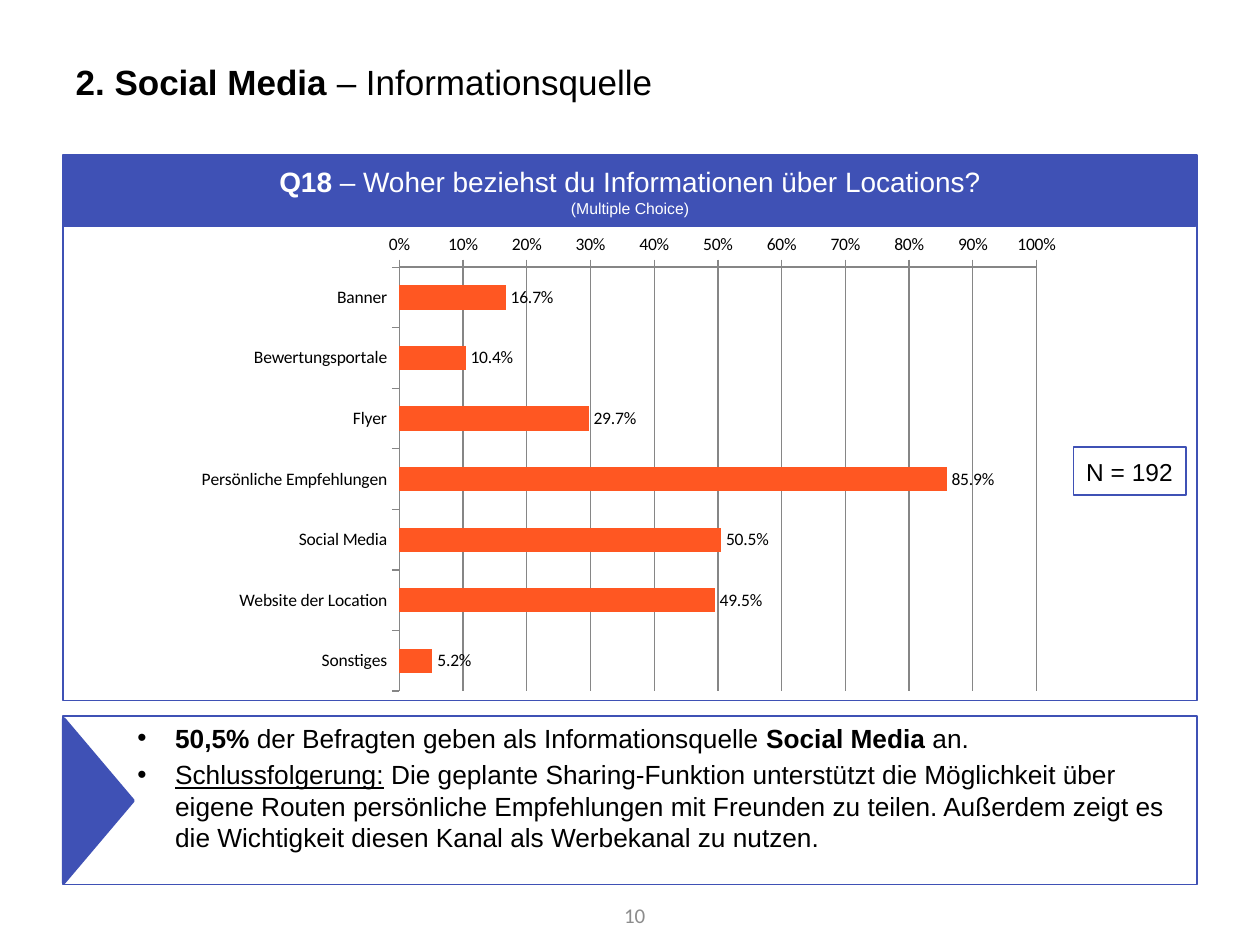
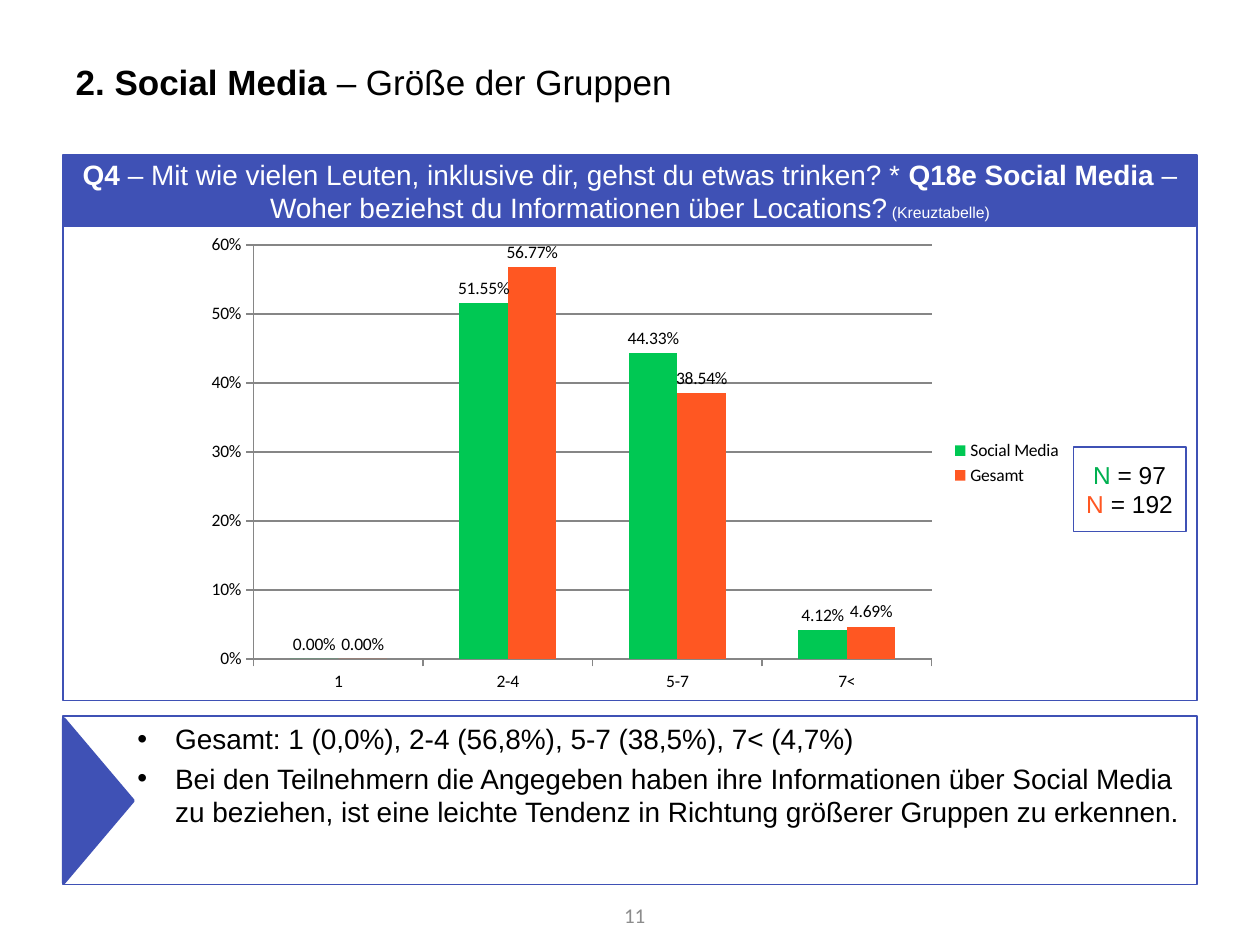
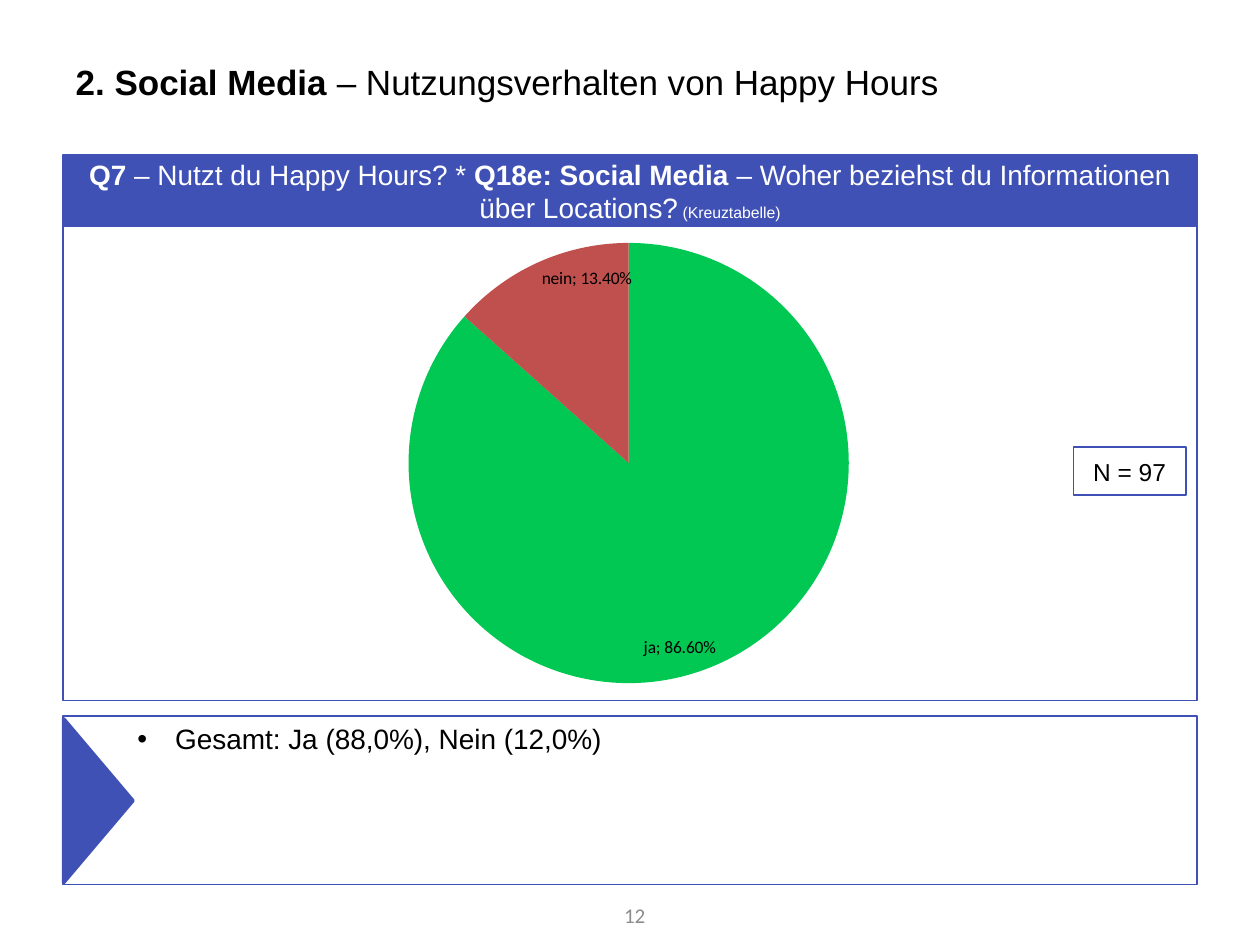
from lxml import etree
from pptx import Presentation
from pptx.chart.data import CategoryChartData
from pptx.dml.color import RGBColor
from pptx.enum.chart import (XL_CHART_TYPE, XL_LABEL_POSITION, XL_LEGEND_POSITION,
                             XL_TICK_MARK)
from pptx.enum.shapes import MSO_SHAPE
from pptx.enum.text import MSO_ANCHOR, MSO_AUTO_SIZE, PP_ALIGN
from pptx.oxml.ns import qn
from pptx.util import Inches, Pt

INDIGO = RGBColor(0x3F, 0x51, 0xB5)
ORANGE = RGBColor(0xFF, 0x57, 0x22)
GREEN = RGBColor(0x00, 0xC8, 0x53)
DARK_GREEN = RGBColor(0x00, 0xB0, 0x50)
RED = RGBColor(0xC0, 0x50, 0x4D)
GRAY = RGBColor(0x8C, 0x8C, 0x8C)
GRID = RGBColor(0x86, 0x86, 0x86)
BLACK = RGBColor(0, 0, 0)
WHITE = RGBColor(0xFF, 0xFF, 0xFF)

LEFT, WIDTH = 0.5, 9
NOTE_TOP, NOTE_HEIGHT = 5.68, 1.34
CHART_TOP, CHART_HEIGHT = 1.79, 3.77


def place(shape, x, y, w, h):
    """Set position and size in inches."""
    shape.left, shape.top = Inches(x), Inches(y)
    shape.width, shape.height = Inches(w), Inches(h)


def add_runs(p, runs, size, color=BLACK, font="Arial"):
    """Add runs: plain strings or (text, options) pairs."""
    for run in runs:
        text, opts = (run, {}) if isinstance(run, str) else run
        r = p.add_run()
        r.text = text
        r.font.name = font
        r.font.size = Pt(opts.get("size", size))
        r.font.bold = opts.get("bold", False)
        r.font.underline = opts.get("underline", False)
        r.font.color.rgb = opts.get("color", color)


def bold(text):
    """Return a bold run."""
    return text, {"bold": True}


def small(text):
    """Return a run in the small size of the band."""
    return text, {"size": 9}


def add_box(s, kind, box, line_width, fill=None):
    """Add an indigo outlined shape, filled or hollow."""
    sp = s.shapes.add_shape(kind, *[Inches(v) for v in box])
    sp.shadow.inherit = False
    sp.line.color.rgb = INDIGO
    sp.line.width = Pt(line_width)
    if fill is None:
        sp.fill.background()
    else:
        sp.fill.solid()
        sp.fill.fore_color.rgb = fill
    return sp


def fill_centered(sp, lines, size, color=BLACK, wrap=True):
    """Write centred lines into a shape."""
    tf = sp.text_frame
    tf.word_wrap = wrap
    tf.vertical_anchor = MSO_ANCHOR.MIDDLE
    for i, runs in enumerate(lines):
        p = tf.add_paragraph() if i else tf.paragraphs[0]
        p.alignment = PP_ALIGN.CENTER
        add_runs(p, runs, size, color)


def add_title(s, topic):
    """Fill the title with the chapter and the topic."""
    title = s.shapes.title
    place(title, LEFT, 0.3, WIDTH, 0.69)
    tf = title.text_frame
    tf.auto_size = MSO_AUTO_SIZE.NONE
    tf.vertical_anchor = MSO_ANCHOR.MIDDLE
    p = tf.paragraphs[0]
    p.alignment = PP_ALIGN.LEFT
    add_runs(p, [bold("2. Social Media "), "– " + topic], 20)


def add_findings(s, bullets, size):
    """Fill the outlined body with bullets and mark it with a triangle."""
    body = s.placeholders[1]
    place(body, LEFT, NOTE_TOP, WIDTH, NOTE_HEIGHT)
    body.line.color.rgb = INDIGO
    body.line.width = Pt(1)
    tf = body.text_frame
    tf.auto_size = MSO_AUTO_SIZE.NONE
    for i, runs in enumerate(bullets):
        p = tf.add_paragraph() if i else tf.paragraphs[0]
        pPr = p._p.get_or_add_pPr()
        pPr.set("marL", str(Inches(0.79)))
        pPr.set("indent", str(Inches(-0.3)))
        add_runs(p, runs, size)
    marker = add_box(s, MSO_SHAPE.ISOSCELES_TRIANGLE, (0.13, 6.08, 1.3, 0.55), 2, INDIGO)
    marker.rotation = 90


def add_question(s, lines):
    """Add the chart frame and the question band on top of it."""
    add_box(s, MSO_SHAPE.RECTANGLE, (LEFT, 1.23, WIDTH, 4.33), 1)
    band = add_box(s, MSO_SHAPE.RECTANGLE, (0.51, 1.24, 8.98, 0.55), 2, INDIGO)
    fill_centered(band, lines, 16, WHITE)


def add_sample_size(s, lines, height=0.38):
    """Add the box with the number of answers."""
    box = add_box(s, MSO_SHAPE.RECTANGLE, (8.52, 3.55, 0.89, height), 1)
    fill_centered(box, lines, 14, wrap=False)


def add_page_number(s, number):
    """Add the page number at the bottom."""
    tb = s.shapes.add_textbox(Inches(4.59), Inches(7.06), Inches(0.63), Inches(0.4))
    tf = tb.text_frame
    tf.word_wrap = True
    tf.vertical_anchor = MSO_ANCHOR.MIDDLE
    p = tf.paragraphs[0]
    p.alignment = PP_ALIGN.RIGHT
    add_runs(p, [str(number)], 12, GRAY, "Calibri")


def paint(part, color):
    """Fill a series or a point."""
    part.format.fill.solid()
    part.format.fill.fore_color.rgb = color


def add_chart(s, kind, x, w, cats, series, label_format, position):
    """Add a chart with value labels and return it."""
    data = CategoryChartData()
    data.categories = cats
    for name, values in series:
        data.add_series(name, values)
    chart = s.shapes.add_chart(kind, Inches(x), Inches(CHART_TOP), Inches(w),
                               Inches(CHART_HEIGHT), data).chart
    chart.has_title = False
    chart.has_legend = False
    chart.font.name = "Calibri"
    chart.font.size = Pt(10)
    chart.font.color.rgb = BLACK
    for ser in chart.plots[0].series:
        labels = ser.data_labels
        labels.show_value = True
        labels.number_format = label_format
        labels.number_format_is_linked = False
        labels.position = position
    return chart


def style_bars(chart, colors, maximum):
    """Format the axes, the grid and the bars."""
    plot = chart.plots[0]
    plot.vary_by_categories = False
    plot.gap_width = 150
    plot.overlap = 0
    for ser, color in zip(plot.series, colors):
        paint(ser, color)
        ser.invert_if_negative = False
    for axis in (chart.category_axis, chart.value_axis):
        axis.major_tick_mark = XL_TICK_MARK.OUTSIDE
        axis.minor_tick_mark = XL_TICK_MARK.NONE
        axis.format.line.color.rgb = GRID
    chart.category_axis.has_major_gridlines = False
    axis = chart.value_axis
    axis.minimum_scale, axis.maximum_scale, axis.major_unit = 0, maximum, 0.1
    axis.has_major_gridlines = True
    axis.major_gridlines.format.line.color.rgb = GRID
    axis.tick_labels.number_format = "0%"
    axis.tick_labels.number_format_is_linked = False


def add_source_chart(s):
    """Add the bar chart of information sources."""
    cats = ["Banner", "Bewertungsportale", "Flyer", "Persönliche Empfehlungen",
            "Social Media", "Website der Location", "Sonstiges"]
    values = (0.167, 0.104, 0.297, 0.859, 0.505, 0.495, 0.052)
    chart = add_chart(s, XL_CHART_TYPE.BAR_CLUSTERED, 1.46, 7.06, cats,
                      [("Series 1", values)], "0.0%", XL_LABEL_POSITION.OUTSIDE_END)
    style_bars(chart, [ORANGE], 1)
    chart.category_axis.reverse_order = True


def add_group_chart(s):
    """Add the column chart of group sizes."""
    series = [("Social Media", (0, 0.5155, 0.4433, 0.0412)),
              ("Gesamt", (0, 0.5677, 0.3854, 0.0469))]
    chart = add_chart(s, XL_CHART_TYPE.COLUMN_CLUSTERED, 1.54, 6.99,
                      ["1", "2-4", "5-7", "7<"], series, "0.00%",
                      XL_LABEL_POSITION.OUTSIDE_END)
    style_bars(chart, [GREEN, ORANGE], 0.6)
    chart.has_legend = True
    chart.legend.position = XL_LEGEND_POSITION.RIGHT
    chart.legend.include_in_layout = False


def add_happy_hour_chart(s):
    """Add the pie chart of happy hour use."""
    chart = add_chart(s, XL_CHART_TYPE.PIE, 1.46, 7.06, ["ja", "nein"],
                      [("Series 1", (0.866, 0.134))], "0.00%",
                      XL_LABEL_POSITION.INSIDE_END)
    ser = chart.plots[0].series[0]
    for i, color in enumerate((GREEN, RED)):
        paint(ser.points[i], color)
    labels = ser.data_labels
    labels.show_category_name = True
    separator = etree.Element(qn("c:separator"))
    separator.text = "; "
    labels._element.find(qn("c:showBubbleSize")).addnext(separator)


def add_result_slide(prs, number, topic, question, findings, size):
    """Add a slide with everything around the chart."""
    s = prs.slides.add_slide(prs.slide_layouts[1])
    add_title(s, topic)
    add_findings(s, findings, size)
    add_question(s, question)
    add_page_number(s, number)
    return s


def main():
    """Build the three result slides."""
    prs = Presentation()
    prs.slide_width, prs.slide_height = Inches(10), Inches(7.5)

    s = add_result_slide(
        prs, 10, "Informationsquelle",
        [[bold("Q18 "), "– Woher beziehst du Informationen über Locations?"],
         [small("(Multiple Choice)")]],
        [[bold("50,5% "), "der Befragten geben als Informationsquelle ",
          bold("Social Media "), "an."],
         [("Schlussfolgerung:", {"underline": True}),
          " Die geplante Sharing-Funktion unterstützt die Möglichkeit über eigene Routen "
          "persönliche Empfehlungen mit Freunden zu teilen. Außerdem zeigt es die "
          "Wichtigkeit diesen Kanal als Werbekanal zu nutzen."]], 15)
    add_source_chart(s)
    add_sample_size(s, [["N = 192"]])

    s = add_result_slide(
        prs, 11, "Größe der Gruppen",
        [[bold("Q4 "), "– Mit wie vielen Leuten, inklusive dir, gehst du etwas trinken? * ",
          bold("Q18e Social Media"),
          " – Woher beziehst du Informationen über Locations?", small(" (Kreuztabelle)")]],
        [["Gesamt: 1 (0,0%), 2-4 (56,8%), 5-7 (38,5%), 7< (4,7%)"],
         ["Bei den Teilnehmern die Angegeben haben ihre Informationen über Social Media zu "
          "beziehen, ist eine leichte Tendenz in Richtung größerer Gruppen zu erkennen."]], 16)
    add_group_chart(s)
    add_sample_size(s, [[("N", {"color": DARK_GREEN}), " = 97"],
                        [("N", {"color": ORANGE}), " = 192"]], 0.67)

    s = add_result_slide(
        prs, 12, "Nutzungsverhalten von Happy Hours",
        [[bold("Q7 "), "– Nutzt du Happy Hours? * ", bold("Q18e: Social Media "),
          "– Woher beziehst du Informationen über Locations?", small(" (Kreuztabelle)")]],
        [["Gesamt: Ja (88,0%), Nein (12,0%)"]], 16)
    add_happy_hour_chart(s)
    add_sample_size(s, [["N = 97"]])

    prs.save("out.pptx")


main()
